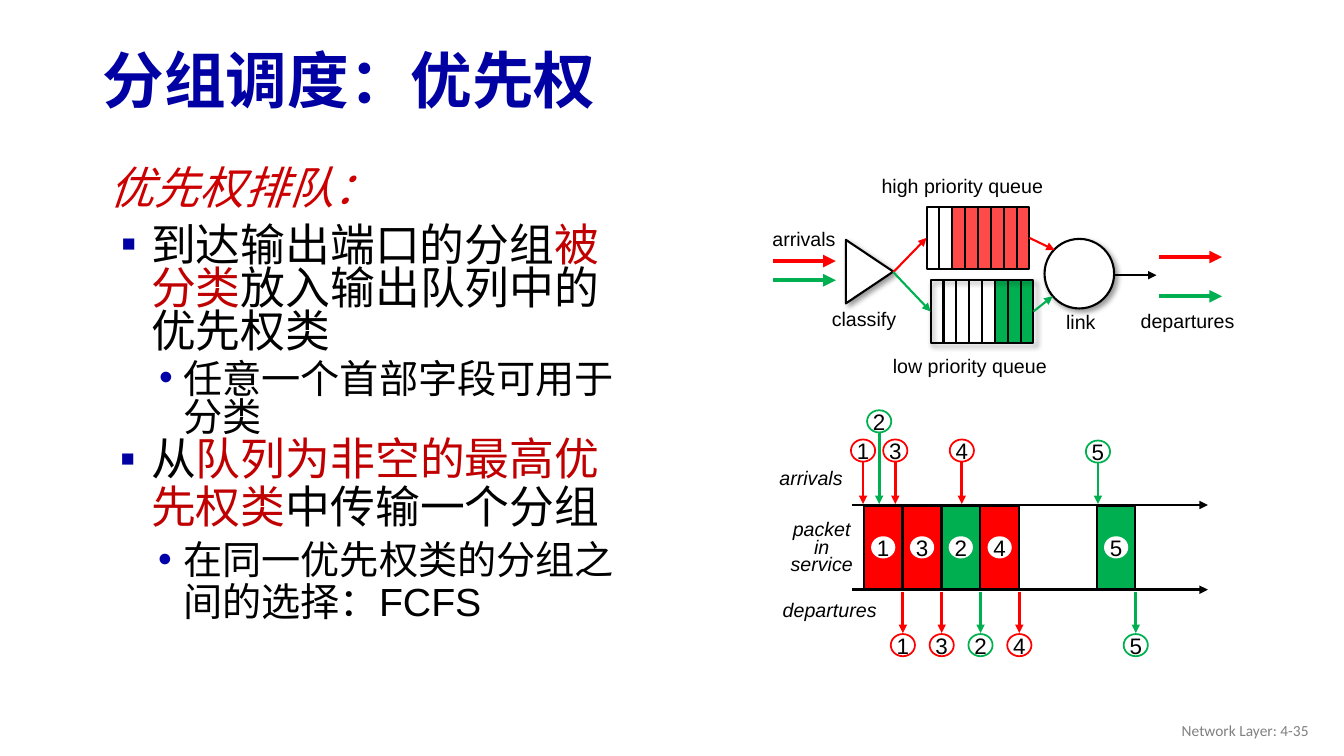
from typing import NamedTuple, Optional

from lxml import etree
from pptx import Presentation
from pptx.dml.color import RGBColor
from pptx.enum.shapes import MSO_CONNECTOR as Line, MSO_SHAPE as Shape
from pptx.enum.text import MSO_ANCHOR as Anchor, MSO_AUTO_SIZE as AutoSize, PP_ALIGN as Align
from pptx.oxml.ns import qn
from pptx.util import Inches, Pt

COLORS = {
    "black": "000000", "white": "FFFFFF", "red": "FF0000", "green": "00B050",
    "title": "0000A3", "bullet": "0000A8", "heading": "CC0000",
    "accent": "C00000", "footer": "808080",
}


class Label(NamedTuple):
    text: str
    box: tuple
    size: float = 14
    color: str = "black"
    font: str = "Arial"
    bold: bool = False
    italic: bool = False
    align: Align = Align.CENTER
    anchor: Anchor = Anchor.TOP
    wrap: bool = False
    spacing: Optional[float] = None


class Point(NamedTuple):
    runs: list
    left: float
    hanging: float
    size: int
    spacing: float
    before: int = 0
    bullet: str = ""
    bullet_color: str = "title"
    level: int = 0
    italic: bool = False


class Queue(NamedTuple):
    left: float
    top: float
    first_filled: int
    color: str
    opacity: int
    shadow: bool


class Packet(NamedTuple):
    number: str
    color: str
    arrival_x: float
    arrival_top: float
    slot: int


class Arrow(NamedTuple):
    start: tuple
    end: tuple
    color: str
    width: float


prs = Presentation()
prs.slide_width, prs.slide_height = Inches(13.33), Inches(7.5)
slide = prs.slides.add_slide(prs.slide_layouts[6])
shapes = slide.shapes


def rgb(name: str) -> RGBColor:
    return RGBColor.from_string(COLORS[name])


def sub(parent, tag: str, **attributes):
    return etree.SubElement(parent, qn(tag), attributes)


def style_font(font, size: float, color: str, **extra) -> None:
    for key, value in {"name": "Arial", "size": Pt(size), **extra}.items():
        setattr(font, key, value)
    font.color.rgb = rgb(color)


def add_label(label: Label) -> None:
    frame = shapes.add_textbox(*map(Inches, label.box)).text_frame
    frame.word_wrap, frame.vertical_anchor = label.wrap, label.anchor
    frame.auto_size = AutoSize.NONE if label.wrap else AutoSize.SHAPE_TO_FIT_TEXT
    paragraph = frame.paragraphs[0]
    paragraph.alignment, paragraph.line_spacing = label.align, label.spacing
    run = paragraph.add_run()
    run.text = label.text
    style_font(run.font, label.size, label.color, name=label.font,
               bold=label.bold, italic=label.italic)


def add_points(box: tuple, points: list) -> None:
    frame = shapes.add_textbox(*map(Inches, box)).text_frame
    frame.word_wrap = True
    for index, point in enumerate(points):
        paragraph = frame.add_paragraph() if index else frame.paragraphs[0]
        paragraph.level, paragraph.line_spacing = point.level, point.spacing
        paragraph.space_before = Pt(point.before)
        props = paragraph._p.get_or_add_pPr()
        props.set("marL", str(Inches(point.left)))
        props.set("indent", str(Inches(-point.hanging)))
        if point.bullet:
            sub(sub(props, "a:buClr"), "a:srgbClr", val=COLORS[point.bullet_color])
            sub(props, "a:buFont", typeface="Arial")
            sub(props, "a:buChar", char=point.bullet)
        for text, color in point.runs:
            run = paragraph.add_run()
            run.text = text
            style_font(run.font, point.size, color, italic=point.italic)


def add_figure(kind: Shape, box: tuple, fill: str = "", line: str = "",
               width: float = 1.5, opacity: int = 100, shadow: bool = False):
    figure = shapes.add_shape(kind, *map(Inches, box))
    figure.shadow.inherit = False
    if fill:
        figure.fill.solid()
        figure.fill.fore_color.rgb = rgb(fill)
        if opacity < 100:
            color = figure._element.spPr.find(".//" + qn("a:srgbClr"))
            sub(color, "a:alpha", val=str(opacity * 1000))
    else:
        figure.fill.background()
    if line:
        figure.line.color.rgb, figure.line.width = rgb(line), Pt(width)
    else:
        figure.line.fill.background()
    if shadow:
        effects = figure._element.spPr.find(qn("a:effectLst"))
        outer = sub(effects, "a:outerShdw", blurRad=str(Pt(4)), dist=str(Pt(3)),
                    dir=str(45 * 60000), algn="tl", rotWithShape="0")
        sub(sub(outer, "a:srgbClr", val=COLORS["black"]), "a:alpha", val="40000")
    return figure


def add_line(arrow: Arrow, head: bool = True):
    line = shapes.add_connector(Line.STRAIGHT, *map(Inches, arrow.start + arrow.end))
    line.line.color.rgb, line.line.width = rgb(arrow.color), Pt(arrow.width)
    if head:
        sub(line.line._get_or_add_ln(), "a:tailEnd", type="triangle")
    sub(line._element.spPr, "a:effectLst")
    return line


def add_number(number: str, center_x: float, top: float, outline: str = "") -> None:
    circle = add_figure(Shape.OVAL, (center_x - 0.12, top, 0.24, 0.22), "white", outline, 1.25)
    frame = circle.text_frame
    for key, value in {"word_wrap": False, "vertical_anchor": Anchor.MIDDLE, "margin_left": 0,
                       "margin_right": 0, "margin_top": 0, "margin_bottom": 0}.items():
        setattr(frame, key, value)
    frame.paragraphs[0].alignment = Align.CENTER
    run = frame.paragraphs[0].add_run()
    run.text = number
    style_font(run.font, 16, "black")


def add_queue(queue: Queue):
    width, height, cells = 1.02, 0.62, 8
    cell = width / cells
    filled_left = queue.left + queue.first_filled * cell
    add_figure(Shape.RECTANGLE, (filled_left, queue.top, queue.left + width - filled_left, height),
               queue.color, opacity=queue.opacity)
    frame = add_figure(Shape.RECTANGLE, (queue.left, queue.top, width, height),
                       line="black", shadow=queue.shadow)
    for index in range(1, cells):
        x = queue.left + index * cell
        add_line(Arrow((x, queue.top), (x, queue.top + height), "black", 1.5), head=False)
    return frame


# Title and explanation
add_label(Label("分组调度：优先权", (0.92, 0.34, 11.5, 0.98), 44, "title", bold=True,
                align=Align.LEFT, anchor=Anchor.MIDDLE, wrap=True, spacing=0.9))
add_points((0.84, 1.64, 5.56, 2.93), [
    Point([("优先权排队：", "heading")], 0.39, 0.24, 32, 0.8, italic=True),
    Point([("到达输出端口的分组", "black"), ("被分类", "accent"),
           ("放入输出队列中的优先权类", "black")], 0.56, 0.3, 32, 0.8, 10, "▪"),
    Point([("任意一个首部字段可用于分类", "black")], 0.88, 0.24, 28, 0.8, 5, "•", "bullet", 1),
])
add_points((0.84, 4.28, 5.56, 2.15), [
    Point([("从", "black"), ("队列为非空的最高优先权类", "accent"),
           ("中传输一个分组", "black")], 0.56, 0.31, 32, 0.9, 0, "▪"),
    Point([("在同一优先权类的分组之间的选择：FCFS", "black")],
          0.88, 0.25, 28, 0.9, 5, "•", "bullet", 1),
])

# Queueing model: queues, classifier and link
low_queue = add_queue(Queue(9.23, 2.78, 5, "green", 100, True))
high_queue = add_queue(Queue(9.19, 2.05, 2, "red", 71, False))
classifier = add_figure(Shape.ISOSCELES_TRIANGLE, (8.31, 2.46, 0.63, 0.47),
                        "white", "black", shadow=True)
classifier.rotation = 90
add_figure(Shape.OVAL, (10.36, 2.37, 0.69, 0.69), "white", "black", shadow=True)

for queue_frame, color, entry_y, exit_y, link_end in (
        (high_queue, "red", 2.36, 2.36, (10.46, 2.48)),
        (low_queue, "green", 3.09, 3.09, (10.44, 2.94))):
    add_line(Arrow((8.86, 2.7), (9.2, entry_y), color, 1.5)).end_connect(queue_frame, 1)
    add_line(Arrow((10.23, exit_y), link_end, color, 1.5)).begin_connect(queue_frame, 3)
add_line(Arrow((11.05, 2.73), (11.47, 2.73), "black", 1.5))
for x, y, color in ((7.67, 2.59, "red"), (7.67, 2.78, "green"),
                    (11.5, 2.55, "red"), (11.5, 2.94, "green")):
    add_line(Arrow((x, y), (x + 0.62, y), color, 3))

for label in (
        Label("high priority queue", (8.64, 1.68, 1.81, 0.34)),
        Label("low priority queue", (8.75, 3.46, 1.74, 0.34)),
        Label("arrivals", (7.56, 2.2, 0.83, 0.34)),
        Label("classify", (8.14, 3, 0.86, 0.34)),
        Label("departures", (11.21, 3.02, 1.14, 0.34)),
        Label("link", (10.47, 3.03, 0.5, 0.34)),
        Label("arrivals", (7.63, 4.57, 0.83, 0.34), italic=True),
        Label("departures", (7.66, 5.88, 1.14, 0.34), italic=True),
        Label("packet in service", (7.68, 5.13, 0.94, 0.65), italic=True,
              wrap=True, spacing=Pt(12.8)),
        Label("Network Layer: 4-35", (10.08, 7.05, 3, 0.4), 11, "footer", "Calibri",
              align=Align.RIGHT, anchor=Anchor.MIDDLE, wrap=True)):
    add_label(label)

# Timeline: arrival, service and departure of each packet
SERVICE_LEFT, SLOT = 8.57, 2.31 / 6
ARRIVAL_AXIS, DEPARTURE_AXIS = 5.01, 5.85
packets = [
    Packet("1", "red", 8.56, 4.36, 0),
    Packet("3", "red", 8.88, 4.36, 1),
    Packet("2", "green", 8.72, 4.07, 2),
    Packet("4", "red", 9.54, 4.36, 3),
    Packet("5", "green", 10.89, 4.37, 6),
]
for packet in packets:
    left = SERVICE_LEFT + packet.slot * SLOT
    add_figure(Shape.RECTANGLE, (left, 5.02, 0.38, 0.83), packet.color, "black", 1.25)
    add_number(packet.number, left + 0.19, 5.32)
for axis_y in (ARRIVAL_AXIS, DEPARTURE_AXIS):
    add_line(Arrow((8.45, axis_y), (11.98, axis_y), "black", 2))
for packet in packets:
    arrival_x, arrival_top = packet.arrival_x, packet.arrival_top
    add_number(packet.number, arrival_x, arrival_top, packet.color)
    add_line(Arrow((arrival_x, arrival_top + 0.22), (arrival_x, 5), packet.color, 2))
    departure_x = SERVICE_LEFT + (packet.slot + 1) * SLOT
    add_number(packet.number, departure_x, 6.29, packet.color)
    add_line(Arrow((departure_x, 5.87), (departure_x, 6.28), packet.color, 2))

prs.save("out.pptx")
